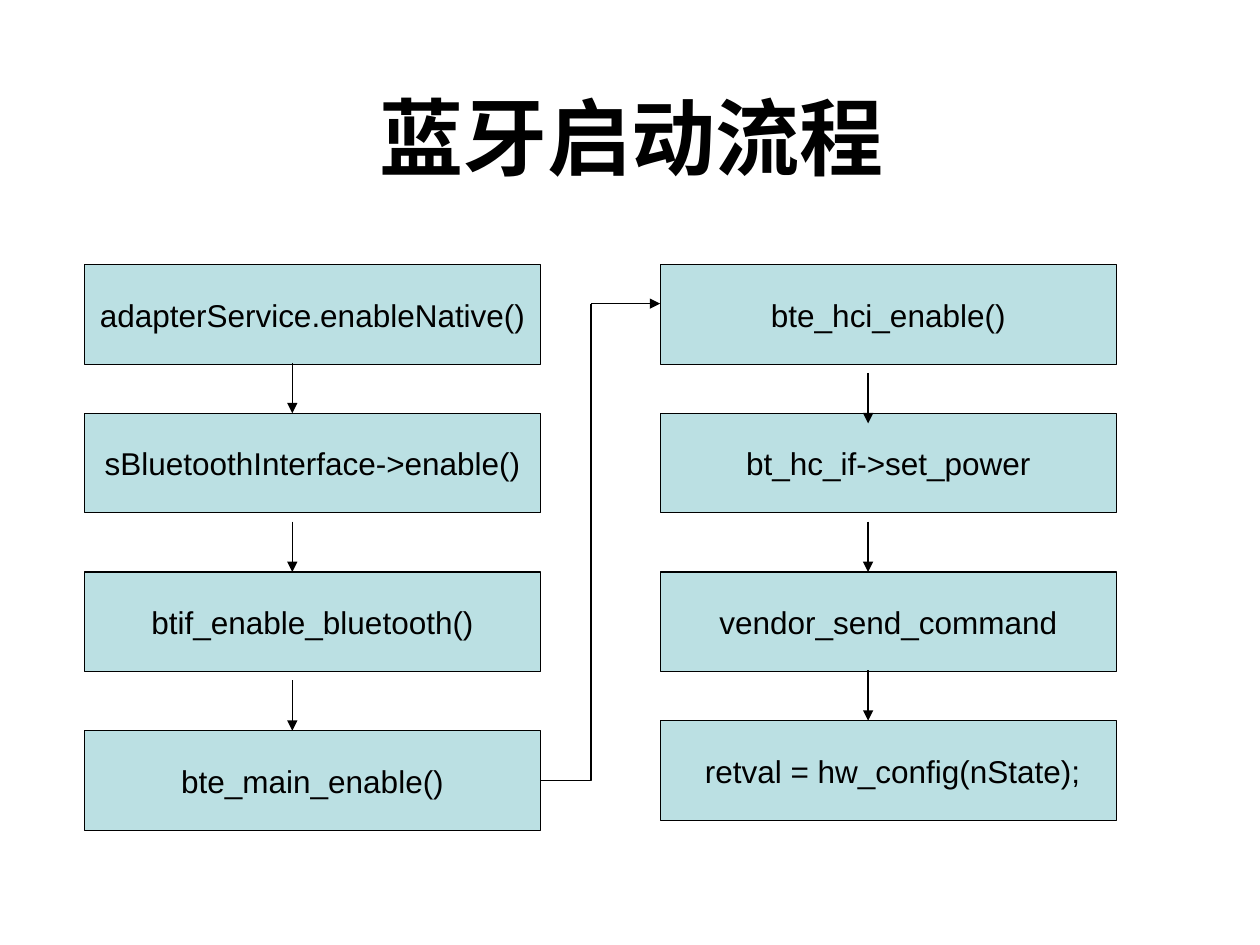
import pptx
from pptx.dml.color import RGBColor
from pptx.enum.shapes import MSO_CONNECTOR, MSO_SHAPE
from pptx.enum.text import MSO_ANCHOR, PP_ALIGN
from pptx.oxml.ns import qn
from pptx.util import Inches, Pt
from lxml import etree

BLACK = RGBColor(0x00, 0x00, 0x00)
PALE_TEAL = RGBColor(0xBB, 0xE0, 0xE3)

TITLE = "蓝牙启动流程"
BOX_W, BOX_H = 3.62, 0.79
ARROW_X, ARROW_H = 1.65, 0.4  # arrow offset from the column's left edge

# Each column: left edge, (box top, text) and the tops of the arrows between boxes
COLUMNS = [
    (0.67,
     [(2.1, "adapterService.enableNative()"),
      (3.28, "sBluetoothInterface->enable()"),
      (4.54, "btif_enable_bluetooth()"),
      (5.8, "bte_main_enable()")],
     [2.88, 4.14, 5.4]),
    (5.24,
     [(2.1, "bte_hci_enable()"),
      (3.28, "bt_hc_if->set_power"),
      (4.54, "vendor_send_command"),
      (5.72, " retval = hw_config(nState);")],
     [2.96, 4.14, 5.32]),
]
TURN_X, TURN_TOP = 4.69, 2.41  # corner of the link between the columns


def format_text(shape, text, size, bold=False):
    tf = shape.text_frame
    tf.vertical_anchor = MSO_ANCHOR.MIDDLE
    p = tf.paragraphs[0]
    p.text = text
    p.alignment = PP_ALIGN.CENTER
    p.font.name = "Arial"
    p.font.size = Pt(size)
    p.font.bold = bold
    p.font.color.rgb = BLACK


def add_box(s, left, top, text):
    sp = s.shapes.add_shape(MSO_SHAPE.FLOWCHART_PROCESS, Inches(left),
                            Inches(top), Inches(BOX_W), Inches(BOX_H))
    sp.shadow.inherit = False
    sp.fill.solid()
    sp.fill.fore_color.rgb = PALE_TEAL
    sp.line.color.rgb = BLACK
    sp.line.width = Pt(0.75)
    format_text(sp, text, 18)
    sp.text_frame.word_wrap = False


def add_link(s, start, end, kind=MSO_CONNECTOR.STRAIGHT, arrow=True):
    c = s.shapes.add_connector(kind, *map(Inches, start + end))
    c.line.color.rgb = BLACK
    c.line.width = Pt(0.75)
    if arrow:
        etree.SubElement(c.line._get_or_add_ln(), qn("a:tailEnd"), type="triangle")
    etree.SubElement(c._element.spPr, qn("a:effectLst"))
    return c


def main():
    prs = pptx.Presentation()
    prs.slide_width, prs.slide_height = Inches(10), Inches(7.5)
    s = prs.slides.add_slide(prs.slide_layouts[5])

    title = s.shapes.title
    title.left, title.top = Inches(0.51), Inches(0.68)
    title.width, title.height = Inches(9), Inches(0.79)
    format_text(title, TITLE, 48, bold=True)

    for left, boxes, _ in COLUMNS:
        for top, text in boxes:
            add_box(s, left, top, text)
    for left, _, arrow_tops in COLUMNS:
        x = left + ARROW_X
        for top in arrow_tops:
            add_link(s, (x, top), (x, top + ARROW_H))

    # Link from the foot of the first column to the head of the second
    (left, boxes, _), (next_left, _, _) = COLUMNS
    foot = (left + BOX_W, boxes[-1][0] + BOX_H / 2)
    corner = (TURN_X, TURN_TOP)
    bend = add_link(s, foot, corner, MSO_CONNECTOR.ELBOW, arrow=False)
    bend._element.spPr.find(qn("a:prstGeom")).set("prst", "bentConnector2")
    add_link(s, corner, (next_left, TURN_TOP))

    prs.save("out.pptx")


if __name__ == "__main__":
    main()
